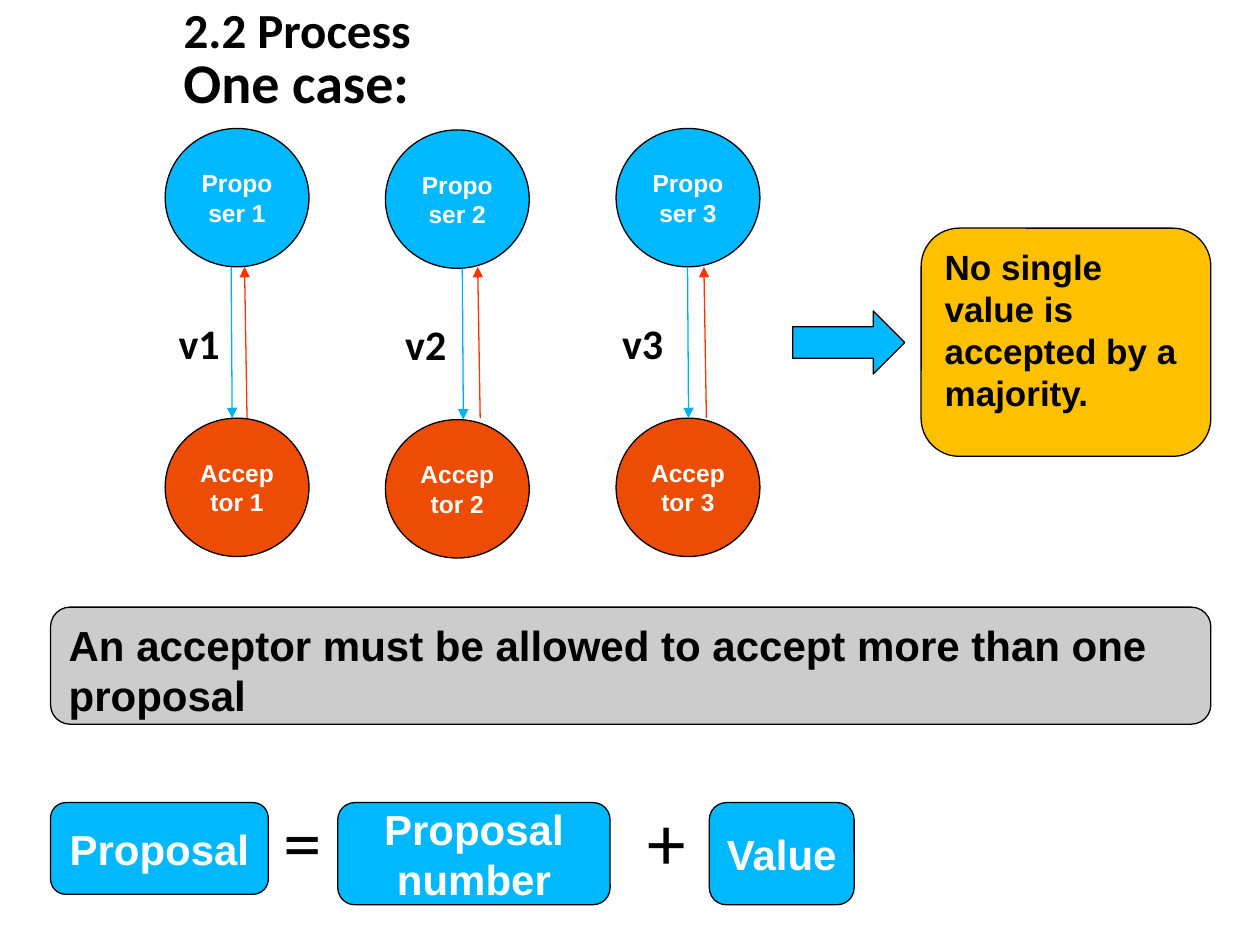
from dataclasses import dataclass

from pptx import Presentation
from pptx.dml.color import RGBColor
from pptx.enum.shapes import MSO_CONNECTOR, MSO_SHAPE
from pptx.enum.text import MSO_ANCHOR, MSO_AUTO_SIZE, PP_ALIGN
from pptx.oxml.ns import qn
from pptx.util import Cm, Pt
from lxml import etree

STRAIGHT = MSO_CONNECTOR.STRAIGHT
ELLIPSE = MSO_SHAPE.OVAL
ROUNDED_BOX = MSO_SHAPE.FLOWCHART_ALTERNATE_PROCESS
RIGHT_ARROW = MSO_SHAPE.RIGHT_ARROW
TOP, MIDDLE = MSO_ANCHOR.TOP, MSO_ANCHOR.MIDDLE
LEFT, CENTER = PP_ALIGN.LEFT, PP_ALIGN.CENTER
GROW = MSO_AUTO_SIZE.SHAPE_TO_FIT_TEXT


@dataclass(frozen=True)
class Theme:
    blue: str = "00B8FF"
    orange: str = "EC4C04"
    amber: str = "FFC000"
    grey: str = "CCCCCC"
    black: str = "000000"
    white: str = "FFFFFF"
    request: str = "00B0F0"
    reply: str = "FF3300"
    shape_font: str = "Arial"
    label_font: str = "Calibri"
    node_size: float = 14
    note_size: float = 20
    body_size: float = 24
    title_size: float = 28
    subtitle_size: float = 32
    operator_size: float = 44
    line_width: float = 0.75


THEME = Theme()


@dataclass(frozen=True)
class Area:
    left: float
    top: float
    width: float
    height: float


@dataclass(frozen=True)
class TextStyle:
    size: float
    color: str = THEME.black
    font: str = THEME.shape_font
    bold: bool = True
    align: PP_ALIGN = LEFT
    anchor: MSO_ANCHOR = TOP


@dataclass(frozen=True)
class Box:
    area: Area
    fill: str
    text: str
    style: TextStyle


@dataclass(frozen=True)
class Label:
    area: Area
    text: str
    style: TextStyle


@dataclass(frozen=True)
class Exchange:
    number: int
    left: float
    offset: float
    value_left: float
    request_x: float
    reply_x: float


NODE_WIDTH, NODE_HEIGHT = 2.9, 2.79
PROPOSER_TOP, ACCEPTOR_TOP = 2.59, 8.43
PROPOSER_BOTTOM = PROPOSER_TOP + NODE_HEIGHT
VALUE_TOP = 6.27

NODE = TextStyle(THEME.node_size, THEME.white, align=CENTER, anchor=MIDDLE)
NOTE = TextStyle(THEME.note_size)
RULE = TextStyle(THEME.body_size)
TERM = TextStyle(THEME.body_size, THEME.white, align=CENTER, anchor=MIDDLE)
VALUE = TextStyle(THEME.body_size, font=THEME.label_font)
TITLE = TextStyle(THEME.title_size, font=THEME.label_font)
SUBTITLE = TextStyle(THEME.subtitle_size, font=THEME.label_font)
OPERATOR = TextStyle(THEME.operator_size, font=THEME.label_font, bold=False)

EXCHANGES = [
    Exchange(1, 3.33, 0, 3.35, 4.66, 4.95),
    Exchange(2, 7.77, 0.03, 7.92, 9.32, 9.65),
    Exchange(3, 12.42, 0, 12.29, 13.86, 14.21),
]

BOXES = [
    Box(Area(18.57, 4.6, 5.84, 4.6), THEME.amber,
        "No single value is accepted by a majority.", NOTE),
    Box(Area(1.02, 12.24, 23.39, 2.36), THEME.grey,
        "An acceptor must be allowed to accept more than one proposal", RULE),
    Box(Area(1.02, 16.18, 4.39, 1.85), THEME.blue, "Proposal", TERM),
    Box(Area(6.81, 16.18, 5.49, 2.06), THEME.blue, "Proposal number", TERM),
    Box(Area(14.3, 16.18, 2.92, 2.06), THEME.blue, "Value", TERM),
]

LABELS = [
    Label(Area(3.45, 0.84, 5.77, 1.63), "One case:", SUBTITLE),
    Label(Area(5.46, 15.88, 1.09, 2.13), "=", OPERATOR),
    Label(Area(12.8, 15.88, 1.09, 2.13), "+", OPERATOR),
]


def place(shape, area: Area) -> None:
    shape.left, shape.top = Cm(area.left), Cm(area.top)
    shape.width, shape.height = Cm(area.width), Cm(area.height)


def write(shape, text: str, style: TextStyle) -> None:
    frame = shape.text_frame
    frame.word_wrap = True
    frame.vertical_anchor = style.anchor
    paragraph = frame.paragraphs[0]
    paragraph.alignment = style.align
    run = paragraph.add_run()
    run.text = text
    run.font.name = style.font
    run.font.size = Pt(style.size)
    run.font.bold = style.bold
    run.font.color.rgb = RGBColor.from_string(style.color)


def add_filled_shape(slide, kind: MSO_SHAPE, area: Area, fill: str):
    shape = slide.shapes.add_shape(
        kind, Cm(area.left), Cm(area.top), Cm(area.width), Cm(area.height))
    shape.shadow.inherit = False
    shape.fill.solid()
    shape.fill.fore_color.rgb = RGBColor.from_string(fill)
    shape.line.color.rgb = RGBColor.from_string(THEME.black)
    shape.line.width = Pt(THEME.line_width)
    return shape


def add_label(slide, label: Label) -> None:
    area = label.area
    shape = slide.shapes.add_textbox(
        Cm(area.left), Cm(area.top), Cm(area.width), Cm(area.height))
    write(shape, label.text, label.style)
    shape.text_frame.auto_size = GROW


def add_message(slide, start: tuple[float, float],
                end: tuple[float, float], color: str) -> None:
    connector = slide.shapes.add_connector(
        STRAIGHT, Cm(start[0]), Cm(start[1]), Cm(end[0]), Cm(end[1]))
    connector.line.color.rgb = RGBColor.from_string(color)
    connector.line.width = Pt(THEME.line_width)
    line = connector.line._get_or_add_ln()
    etree.SubElement(line, qn("a:tailEnd"), type="triangle")
    etree.SubElement(connector._element.spPr, qn("a:effectLst"))


def add_exchange(slide, exchange: Exchange) -> None:
    for role, top, fill in (("Proposer", PROPOSER_TOP, THEME.blue),
                            ("Acceptor", ACCEPTOR_TOP, THEME.orange)):
        area = Area(exchange.left, top + exchange.offset, NODE_WIDTH, NODE_HEIGHT)
        node = add_filled_shape(slide, ELLIPSE, area, fill)
        write(node, f"{role} {exchange.number}", NODE)
    upper = PROPOSER_BOTTOM + exchange.offset
    lower = ACCEPTOR_TOP + exchange.offset
    add_message(slide, (exchange.request_x, upper),
                (exchange.request_x + 0.02, lower), THEME.request)
    add_message(slide, (exchange.reply_x + 0.03, ACCEPTOR_TOP),
                (exchange.reply_x - 0.02, PROPOSER_BOTTOM), THEME.reply)
    area = Area(exchange.value_left, VALUE_TOP + exchange.offset, 1.57, 1.27)
    add_label(slide, Label(area, f"v{exchange.number}", VALUE))


def main() -> None:
    presentation = Presentation()
    presentation.slide_width, presentation.slide_height = Cm(25.4), Cm(19.05)
    slide = presentation.slides.add_slide(presentation.slide_layouts[5])
    title = slide.shapes.title
    place(title, Area(3.45, -0.13, 6.12, 1.45))
    write(title, "2.2 Process", TITLE)
    title.text_frame.auto_size = GROW
    for exchange in EXCHANGES:
        add_exchange(slide, exchange)
    add_filled_shape(slide, RIGHT_ARROW, Area(15.98, 6.27, 2.26, 1.27), THEME.blue)
    for box in BOXES:
        write(add_filled_shape(slide, ROUNDED_BOX, box.area, box.fill), box.text, box.style)
    for label in LABELS:
        add_label(slide, label)
    presentation.save("out.pptx")


if __name__ == "__main__":
    main()
